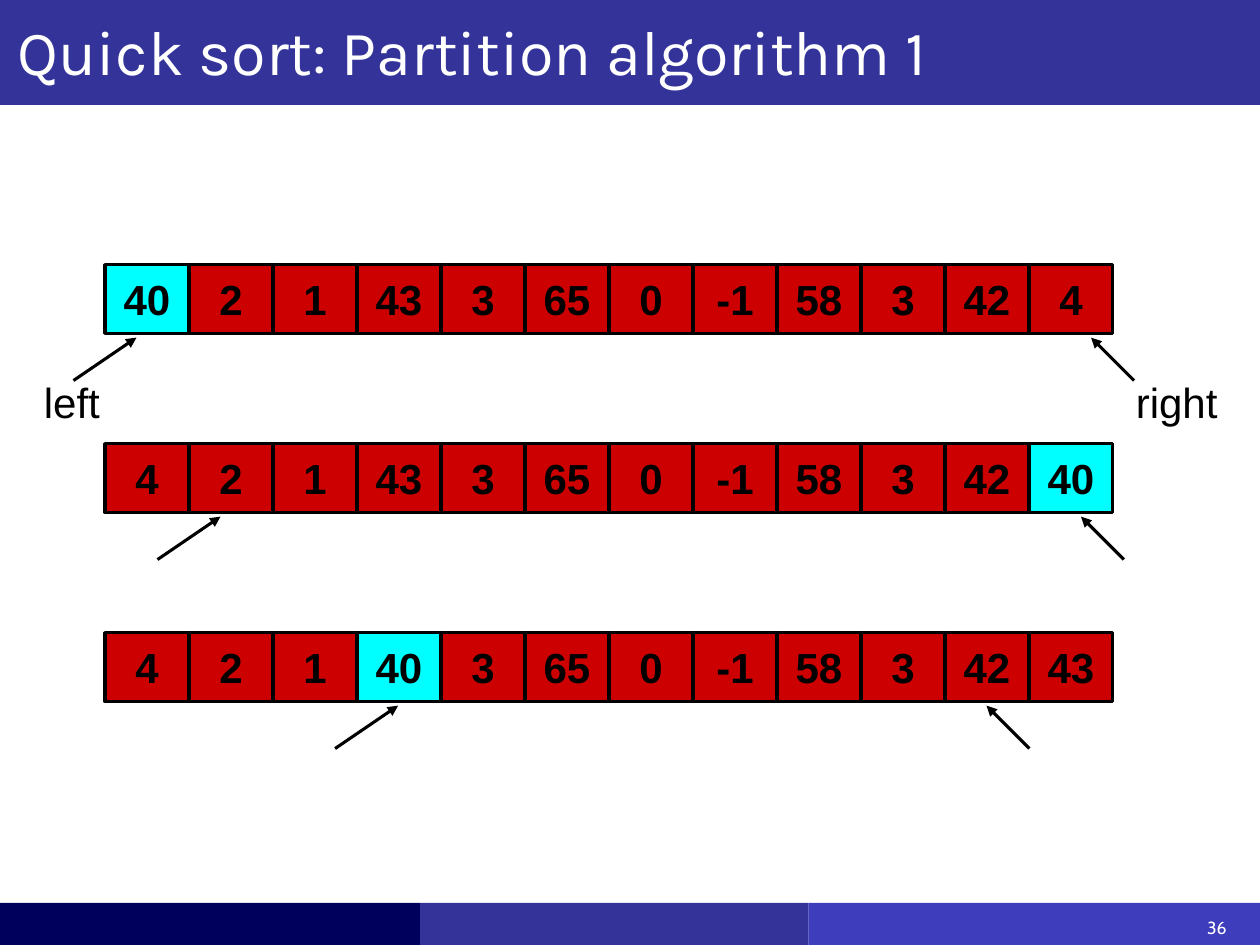
import pptx
import pptx.util
import pptx.dml.color
import pptx.enum.shapes
import pptx.enum.text
import pptx.oxml
import pptx.oxml.ns

Pt = pptx.util.Pt
RGB = pptx.dml.color.RGBColor
ALIGN = pptx.enum.text.PP_ALIGN
ANCHOR = pptx.enum.text.MSO_ANCHOR

NAVY = RGB(0x00, 0x00, 0x5C)
INDIGO = RGB(0x33, 0x33, 0x99)
BLUE = RGB(0x3E, 0x3E, 0xBC)
RED = RGB(0xCC, 0x00, 0x00)
CYAN = RGB(0x00, 0xFF, 0xFF)
BLACK = RGB(0, 0, 0)
WHITE = RGB(255, 255, 255)

LINE = 1.75
CELL_W, CELL_H = 48, 39.4
ROW_X = 60
TIP_Y = 41.75  # from the top of a row to its arrow tips
RISE = 24.5

# top, values, position of the pivot, x of the left and right arrow tips
ROWS = [
    (151.2, "40 2 1 43 3 65 0 -1 58 3 42 4", 0, 78, 623.5),
    (253.5, "4 2 1 43 3 65 0 -1 58 3 42 40", 11, 126, 617.75),
    (361.5, "4 2 1 40 3 65 0 -1 58 3 42 43", 3, 227.5, 563.75),
]


def write(shape, text, size=24, font="Arial", color=BLACK, bold=False,
          align=ALIGN.LEFT, anchor=ANCHOR.TOP, wrap=False):
    frame = shape.text_frame
    frame.auto_size = pptx.enum.text.MSO_AUTO_SIZE.NONE
    frame.word_wrap = wrap
    frame.vertical_anchor = anchor
    frame.margin_left = frame.margin_right = Pt(7.2)
    frame.margin_top = frame.margin_bottom = Pt(3.6)
    para = frame.paragraphs[0]
    para.alignment = align
    run = para.add_run()
    run.text = text
    run.font.size = Pt(size)
    run.font.name = font
    run.font.bold = bold
    run.font.color.rgb = color


def add_box(slide, x, y, w, h, fill, line=None):
    kind = pptx.enum.shapes.MSO_SHAPE.RECTANGLE
    box = slide.shapes.add_shape(kind, Pt(x), Pt(y), Pt(w), Pt(h))
    box.shadow.inherit = False
    box.fill.solid()
    box.fill.fore_color.rgb = fill
    if line is None:
        box.line.fill.background()
    else:
        box.line.color.rgb = line
        box.line.width = Pt(LINE)
    return box


def add_label(slide, text, x, y, w, h, **style):
    label = slide.shapes.add_textbox(Pt(x), Pt(y), Pt(w), Pt(h))
    write(label, text, **style)


def add_arrow(slide, x1, y1, x2, y2):
    kind = pptx.enum.shapes.MSO_CONNECTOR.STRAIGHT
    arrow = slide.shapes.add_connector(kind, Pt(x1), Pt(y1), Pt(x2), Pt(y2))
    arrow.line.color.rgb = BLACK
    arrow.line.width = Pt(LINE)
    ns = pptx.oxml.ns.nsdecls("a")
    line = arrow.line._get_or_add_ln()
    line.append(pptx.oxml.parse_xml(f'<a:tailEnd {ns} type="triangle"/>'))
    line.getparent().append(pptx.oxml.parse_xml(f"<a:effectLst {ns}/>"))


def add_row(slide, top, values, pivot, left, right):
    """Draw one state of the array with its left and right pointers."""
    for i, value in enumerate(values.split()):
        fill = CYAN if i == pivot else RED
        cell = add_box(slide, ROW_X + i * CELL_W, top, CELL_W, CELL_H, fill, BLACK)
        write(cell, value, bold=True, align=ALIGN.CENTER, anchor=ANCHOR.MIDDLE)
    tip = top + TIP_Y
    add_arrow(slide, left - 36, tip + RISE, left, tip)
    add_arrow(slide, right + RISE, tip + RISE, right, tip)


def add_frame(slide):
    """Draw the title bar, the footer bars and the page number."""
    add_box(slide, 0, 0, 720, 60, INDIGO)
    for x, w, fill in [(462, 258, BLUE), (240, 222, INDIGO), (0, 240, NAVY)]:
        add_box(slide, x, 516, w, 24, fill)
    add_label(slide, "36", 672, 520.5, 36, 21, size=10, font="Cabin",
              color=WHITE, align=ALIGN.RIGHT, wrap=True)


def set_title(slide, text):
    title = slide.shapes.title
    title.left, title.top = Pt(3), Pt(3.75)
    title.width, title.height = Pt(717), Pt(50.25)
    write(title, text, size=36, font="Karla", color=WHITE,
          anchor=ANCHOR.BOTTOM, wrap=True)
    slide.shapes.element.append(title.element)  # in front of the title bar


def main():
    deck = pptx.Presentation()
    deck.slide_width, deck.slide_height = Pt(720), Pt(540)
    slide = deck.slides.add_slide(deck.slide_layouts[5])
    add_frame(slide)
    for row in ROWS:
        add_row(slide, *row)
    add_label(slide, "left", 18, 211.75, 46, 36)
    add_label(slide, "right", 642, 211.75, 61, 36)
    set_title(slide, "Quick sort: Partition algorithm 1")
    deck.save("out.pptx")


if __name__ == "__main__":
    main()
